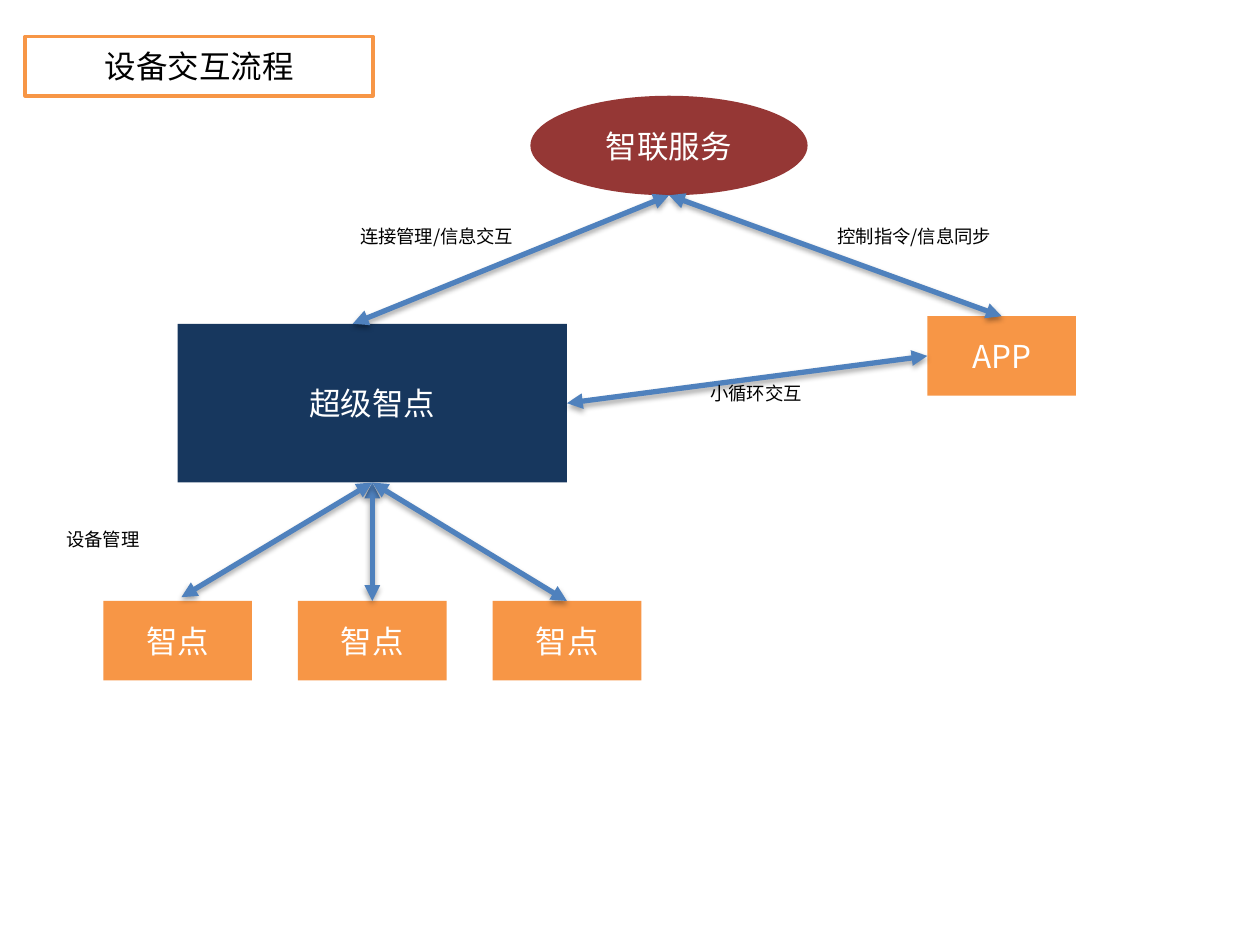
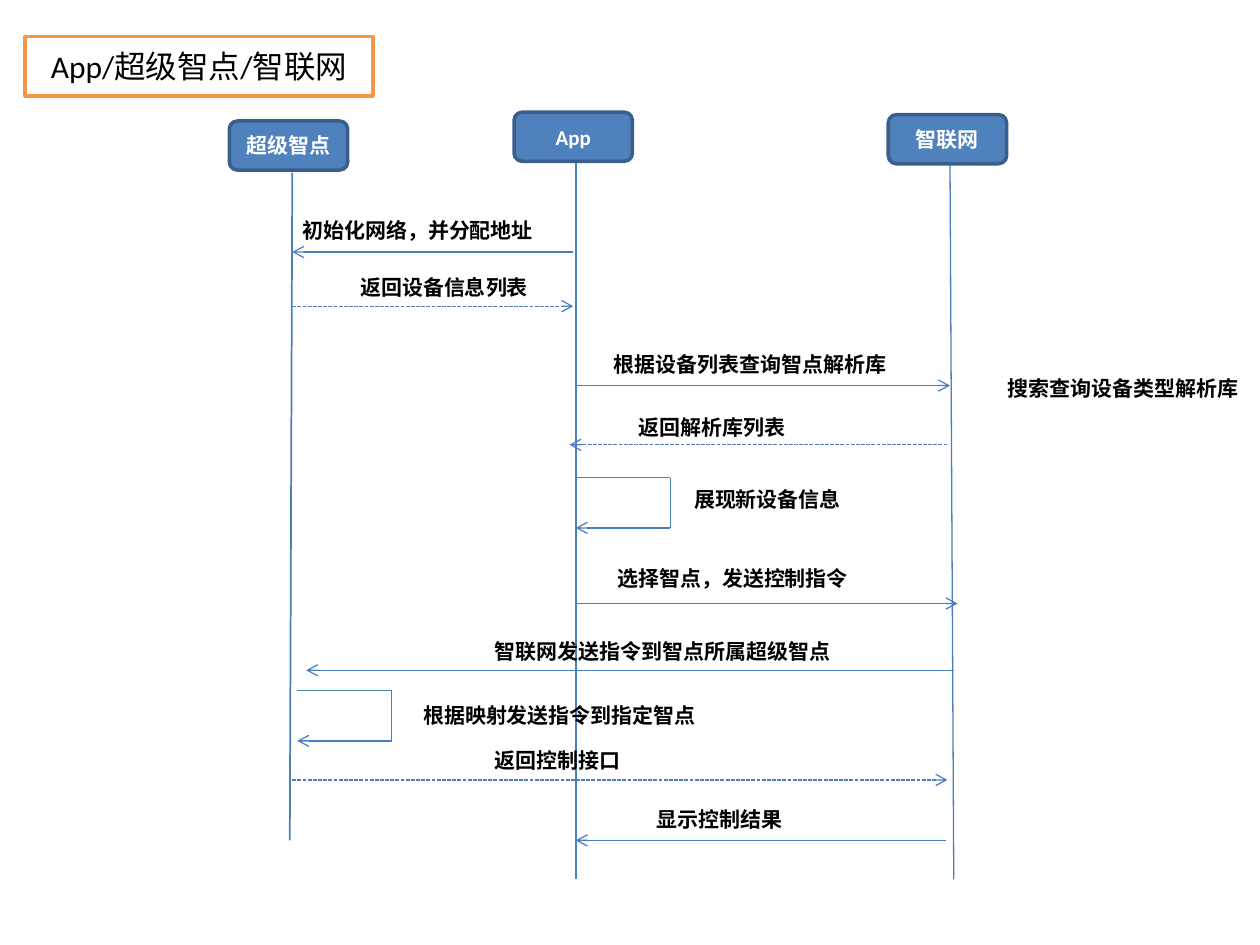
from lxml.etree import SubElement
from pptx import Presentation
from pptx.dml.color import RGBColor
from pptx.enum.dml import MSO_LINE
from pptx.enum.shapes import MSO_CONNECTOR, MSO_SHAPE
from pptx.enum.text import MSO_ANCHOR, MSO_AUTO_SIZE, PP_ALIGN
from pptx.oxml.ns import qn
from pptx.util import Inches, Pt

WHITE, BLACK, ORANGE = "FFFFFF", "000000", "F79646"
NAVY, RED, BLUE = "17375E", "953735", "4F81BD"
EDGE_BLUE, LINE_BLUE = "3A5F8C", "4B7EBC"
CJK_FONT, LATIN_FONT = "Noto Sans CJK SC", "Calibri"

TOP, LEFT, BOTTOM, RIGHT = range(4)

# Slide 1: name -> text, shape, colour, (left, top, width, height)
DEVICE_SIZE = (1.18, 0.63)
NODES = {
    "hub": ("超级智点", MSO_SHAPE.RECTANGLE, NAVY, (1.41, 2.57, 3.09, 1.26)),
    "app": ("APP", MSO_SHAPE.RECTANGLE, ORANGE, (7.36, 2.51, *DEVICE_SIZE)),
    "service": ("智联服务", MSO_SHAPE.OVAL, RED, (4.21, 0.76, 2.2, 0.79)),
}
for index in range(3):
    NODES[f"device {index}"] = (
        "智点", MSO_SHAPE.RECTANGLE, ORANGE, (0.82 + 1.545 * index, 4.77, *DEVICE_SIZE))

# Each end is a point or a (node, side) pair
SERVICE_BOTTOM = (5.31, 1.55)
LINKS = [
    (("hub", BOTTOM), ("device 1", TOP)),
    (("hub", BOTTOM), ("device 2", TOP)),
    (SERVICE_BOTTOM, (2.8, 2.57)),
    (SERVICE_BOTTOM, ("app", TOP)),
    (("hub", RIGHT), ("app", LEFT)),
    ((1.44, 4.74), ("hub", BOTTOM)),
]
LINK_LABELS = [
    ("小循环交互", 5.54, 2.98, 1.34),
    ("控制指令/信息同步", 6.55, 1.74, 1.62),
    ("连接管理/信息交互", 2.76, 1.74, 1.57),
    ("设备管理", 0.43, 4.14, 1.34),
]

# Slide 2: text, box left, box top, lifeline start, lifeline end, line width
PARTICIPANTS = [
    ("超级智点", 1.82, 0.96, (2.32, 1.37), (2.3, 6.67), 1),
    ("App", 4.08, 0.89, (4.57, 1.29), (4.57, 6.98), 1),
    ("智联网", 7.05, 0.91, (7.54, 1.3), (7.57, 6.98), 0.75),
]
# start x, end x, y, is a reply
MESSAGES = [
    (4.55, 2.32, 2.0, False),
    (2.32, 4.55, 2.43, True),
    (4.57, 7.54, 3.06, False),
    (7.52, 4.52, 3.53, True),
    (4.57, 7.6, 4.79, False),
    (7.57, 2.43, 5.32, False),
    (2.32, 7.52, 6.19, True),
    (7.51, 4.57, 6.67, False),
]
SELF_CALLS = [(4.57, 3.79), (2.36, 5.48)]
MESSAGE_LABELS = [
    ("初始化网络，并分配地址", 2.3, 1.68, 2.05),
    ("返回设备信息列表", 2.76, 2.13, 1.55),
    ("根据设备列表查询智点解析库", 4.77, 2.74, 2.83),
    ("搜索查询设备类型解析库", 7.9, 2.93, 2.05),
    ("返回解析库列表", 4.97, 3.24, 2.56),
    ("展现新设备信息", 5.41, 3.81, 1.38),
    ("选择智点，发送控制指令", 4.8, 4.44, 2.05),
    ("智联网发送指令到智点所属超级智点", 3.83, 5.02, 3.22),
    ("根据映射发送指令到指定智点", 3.26, 5.53, 2.56),
    ("返回控制接口", 3.83, 5.88, 2.56),
    ("显示控制结果", 5.11, 6.35, 1.21),
]


def rgb(color):
    return RGBColor.from_string(color)


def write(shape, text, size, font, color, bold=False, align=PP_ALIGN.CENTER,
          anchor=MSO_ANCHOR.MIDDLE):
    frame = shape.text_frame
    frame.word_wrap = True
    frame.auto_size = MSO_AUTO_SIZE.NONE
    frame.vertical_anchor = anchor
    paragraph = frame.paragraphs[0]
    paragraph.alignment = align
    run = paragraph.add_run()
    run.text = text
    run.font.name = font
    run.font.size = Pt(size)
    run.font.bold = bold
    run.font.color.rgb = rgb(color)
    SubElement(run.font._element, qn("a:ea"), typeface=CJK_FONT)


def paint(shape, fill, line=None):
    shape.fill.solid()
    shape.fill.fore_color.rgb = rgb(fill)
    if line:
        shape.line.color.rgb = rgb(line)
        shape.line.width = Pt(2)
    else:
        shape.line.fill.background()


def add_titled_slide(presentation, text, font):
    slide = presentation.slides.add_slide(presentation.slide_layouts[5])
    title = slide.shapes.title
    title.left, title.top, title.width, title.height = map(Inches, (0.2, 0.29, 2.76, 0.47))
    paint(title, WHITE, ORANGE)
    write(title, text, 18, font, BLACK)
    return slide


def add_box(slide, kind, bounds, fill, line=None):
    shape = slide.shapes.add_shape(kind, *map(Inches, bounds))
    shape.shadow.inherit = False
    paint(shape, fill, line)
    return shape


def add_label(slide, text, left, top, width, height, size, font, bold=False):
    box = slide.shapes.add_textbox(*map(Inches, (left, top, width, height)))
    box.text_frame.margin_right = 0
    write(box, text, size, font, BLACK, bold, PP_ALIGN.LEFT, MSO_ANCHOR.TOP)


def add_line(slide, start, end, color=LINE_BLUE, width=0.75, head=None, tail=None, dashed=False):
    """Draw a straight line and return it with its empty effect list."""
    line = slide.shapes.add_connector(MSO_CONNECTOR.STRAIGHT, *map(Inches, (*start, *end)))
    line.line.color.rgb = rgb(color)
    line.line.width = Pt(width)
    if dashed:
        line.line.dash_style = MSO_LINE.SQUARE_DOT
    properties = line._element.spPr
    outline = properties.find(qn("a:ln"))
    for tag, kind in (("a:headEnd", head), ("a:tailEnd", tail)):
        if kind:
            SubElement(outline, qn(tag), type=kind)
    return line, SubElement(properties, qn("a:effectLst"))


def add_soft_shadow(effects):
    shadow = SubElement(effects, qn("a:outerShdw"), blurRad="40000", dist="23000",
                        dir="5400000", rotWithShape="0")
    color = SubElement(shadow, qn("a:srgbClr"), val=BLACK)
    SubElement(color, qn("a:alpha"), val="35000")


def side_middle(name, side):
    left, top, width, height = NODES[name][3]
    across, down = {TOP: (0.5, 0), LEFT: (0, 0.5), BOTTOM: (0.5, 1), RIGHT: (1, 0.5)}[side]
    return left + across * width, top + down * height


def add_link(slide, boxes, start, end):
    points = [side_middle(*spot) if spot[0] in boxes else spot for spot in (start, end)]
    link, effects = add_line(slide, *points, BLUE, 3, "triangle", "triangle")
    add_soft_shadow(effects)
    for spot, connect in ((start, link.begin_connect), (end, link.end_connect)):
        if spot[0] in boxes:
            connect(boxes[spot[0]], spot[1])


def add_self_call(slide, left, top):
    right, bottom = left + 0.75, top + 0.4
    add_line(slide, (left, top), (right, top))
    add_line(slide, (right, top), (right, bottom))
    add_line(slide, (right, bottom), (left, bottom), tail="arrow")


def build_device_flow(presentation):
    slide = add_titled_slide(presentation, "设备交互流程", CJK_FONT)
    boxes = {}
    for name, (text, kind, fill, bounds) in NODES.items():
        boxes[name] = add_box(slide, kind, bounds, fill)
        write(boxes[name], text, 18, CJK_FONT, WHITE)
    for start, end in LINKS:
        add_link(slide, boxes, start, end)
    for label in LINK_LABELS:
        add_label(slide, *label, 0.28, 10.5, CJK_FONT)


def build_sequence(presentation):
    slide = add_titled_slide(presentation, "App/超级智点/智联网", LATIN_FONT)
    for text, left, top, start, end, width in PARTICIPANTS:
        add_line(slide, start, end, width=width)
        box = add_box(slide, MSO_SHAPE.ROUNDED_RECTANGLE, (left, top, 0.94, 0.39),
                      BLUE, EDGE_BLUE)
        write(box, text, 12, LATIN_FONT, WHITE, bold=True)
    for start_x, end_x, y, is_reply in MESSAGES:
        add_line(slide, (start_x, y), (end_x, y), tail="arrow", dashed=is_reply)
    for left, top in SELF_CALLS:
        add_self_call(slide, left, top)
    for label in MESSAGE_LABELS:
        add_label(slide, *label, 0.3, 12, LATIN_FONT, bold=True)


def main():
    presentation = Presentation()
    presentation.slide_width, presentation.slide_height = Inches(10), Inches(7.5)
    build_device_flow(presentation)
    build_sequence(presentation)
    presentation.save("out.pptx")


if __name__ == "__main__":
    main()
